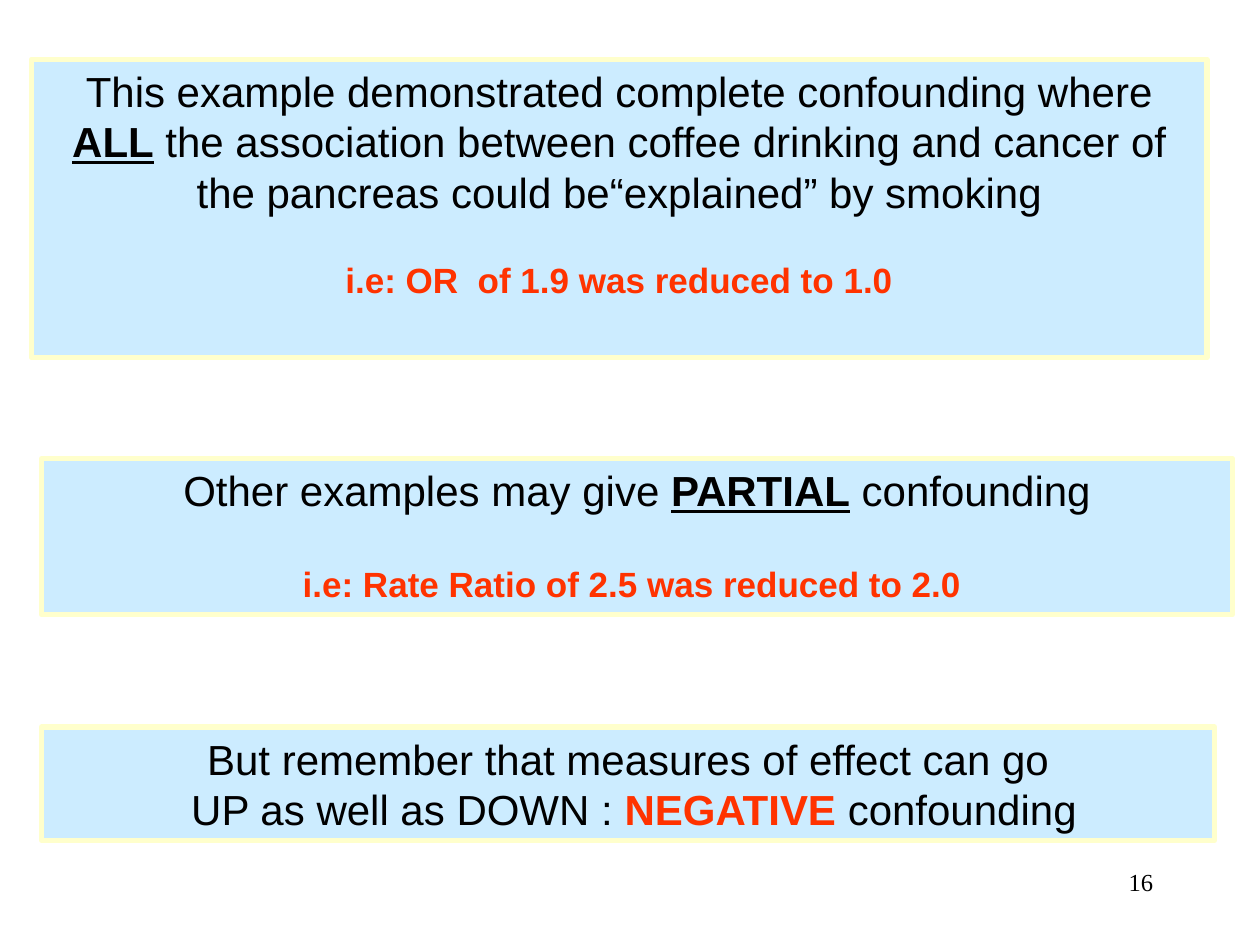
from pptx import Presentation
from pptx.dml.color import RGBColor
from pptx.enum.shapes import MSO_SHAPE
from pptx.enum.text import MSO_ANCHOR, PP_ALIGN
from pptx.util import Inches, Pt

BLACK, RED, BLUE, CREAM = "000000", "FF3300", "CCECFF", "FFFFCC"


def paint(fill, color):
    fill.solid()
    fill.fore_color.rgb = RGBColor.from_string(color)


def write(para, text, size=24, font="Arial", color=BLACK, bold=False, line=False):
    run = para.add_run()
    run.text = text
    run.font.size = Pt(size)
    run.font.name = font
    run.font.bold = bold
    run.font.underline = line
    paint(run.font.fill, color)


def panel(slide, left, top, width, height, paras):
    """Draw a box; each paragraph is (space before, [(text, format), ...])."""
    box = slide.shapes.add_shape(MSO_SHAPE.RECTANGLE, Inches(left), Inches(top),
                                 Inches(width), Inches(height))
    box.shadow.inherit = False
    paint(box.fill, BLUE)
    paint(box.line.fill, CREAM)
    box.line.width = Pt(3)
    frame = box.text_frame
    frame.word_wrap = True
    frame.vertical_anchor = MSO_ANCHOR.TOP
    for i, (gap, runs) in enumerate(paras):
        para = frame.add_paragraph() if i else frame.paragraphs[0]
        para.alignment = PP_ALIGN.CENTER
        para.space_before = Pt(gap)
        for text, style in runs:
            write(para, text, **style)


def number(slide, text):
    box = slide.shapes.add_textbox(Inches(7.17), Inches(6.83), Inches(2.08), Inches(0.5))
    box.text_frame.word_wrap = True
    para = box.text_frame.paragraphs[0]
    para.alignment = PP_ALIGN.RIGHT
    write(para, text, size=14, font="Times New Roman")


def main():
    deck = Presentation()
    deck.slide_width, deck.slide_height = Inches(10), Inches(7.5)
    slide = deck.slides.add_slide(deck.slide_layouts[6])

    plain = {}
    key = {"bold": True, "line": True}
    alert = {"bold": True, "color": RED}
    note = {**alert, "size": 20}

    number(slide, "16")
    panel(slide, 0.25, 0.47, 9.33, 2.37, [
        (0, [("This example demonstrated complete confounding where ", plain),
             ("ALL", key),
             (" the association between coffee drinking and cancer of the pancreas "
              "could be“explained” by smoking", plain)]),
        (24, [("i.e: OR  of 1.9 was reduced to 1.0", note)]),
    ])
    panel(slide, 0.33, 3.64, 9.45, 1.24, [
        (0, [("Other examples may give ", plain), ("PARTIAL", key),
             (" confounding", plain)]),
        (27, [("i.e: Rate Ratio of 2.5 was reduced to 2.0 ", note)]),
    ])
    panel(slide, 0.33, 5.77, 9.31, 0.9, [
        (0, [("But remember that measures of effect can go", plain)]),
        (0, [(" UP as well as DOWN : ", plain), ("NEGATIVE", alert),
             (" confounding", plain)]),
    ])
    deck.save("out.pptx")


if __name__ == "__main__":
    main()
